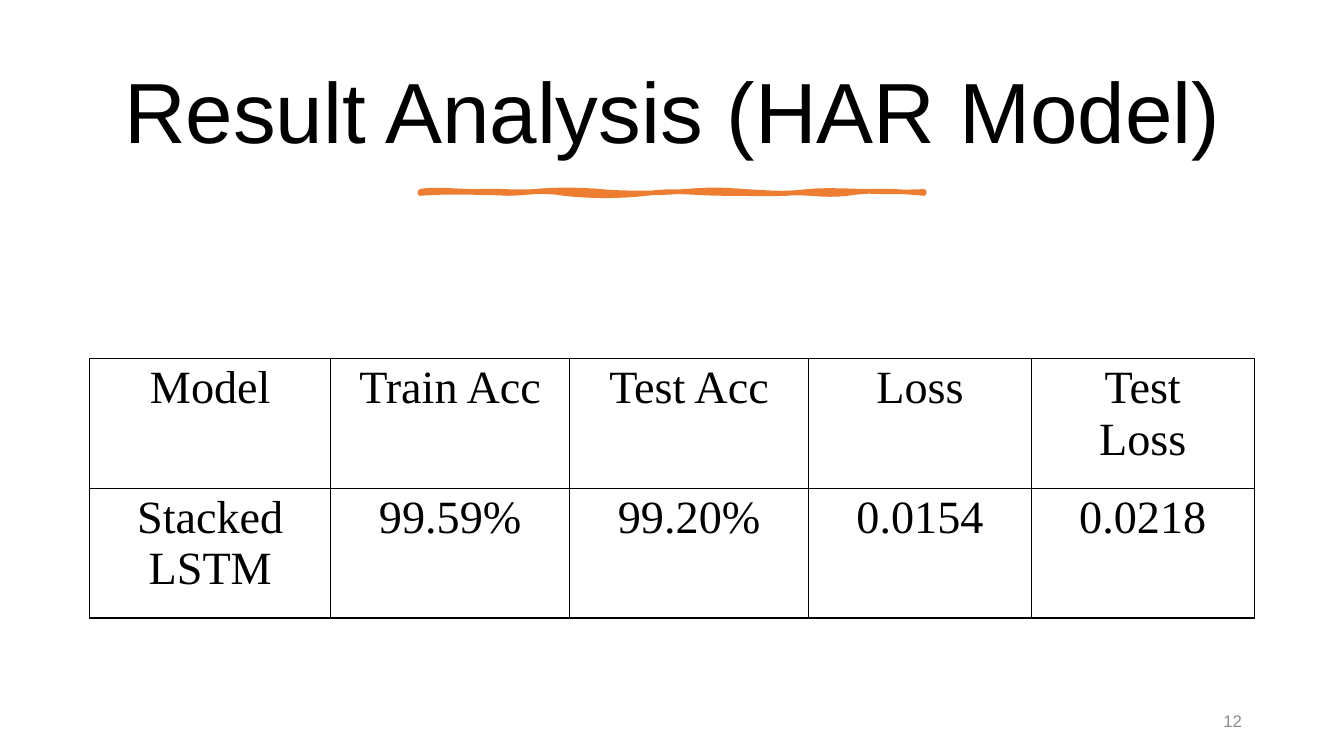
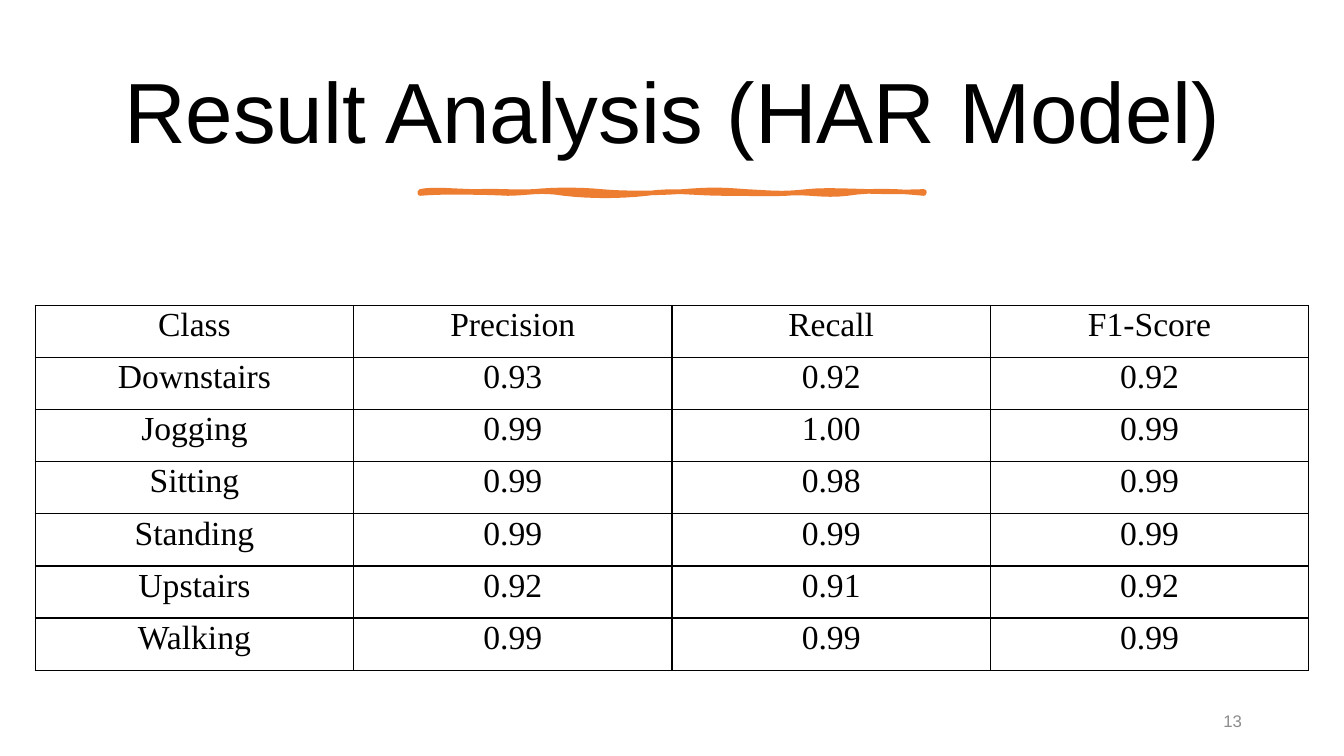
"""Build two slides with the result tables of the HAR model."""
from dataclasses import dataclass
from itertools import product

from lxml.etree import SubElement as Sub
from pptx import Presentation as Deck
from pptx.dml.color import RGBColor as Color
from pptx.enum.text import MSO_ANCHOR as Anchor, PP_ALIGN as Align
from pptx.oxml.ns import qn
from pptx.slide import Slide
from pptx.text.text import _Paragraph as Para
from pptx.util import Inches, Length, Pt

WIDE, HIGH = Inches(13.33), Inches(7.5)
BLACK = Color(0x00, 0x00, 0x00)
ORANGE = Color(0xED, 0x7D, 0x31)
GREY = Color(0x8C, 0x8C, 0x8C)
SANS, SERIF = "Arial", "Times New Roman"
TITLE = "Result Analysis (HAR Model)"
STEPS = 8

WAVE = [
    [(0, 0), (2.4, -1.5), (7.6, 0), (11.4, 0)],
    [(15.2, -0.5), (18.6, 0.5), (22.6, 0)],
    [(26.6, -1), (31.6, -1), (36, 0)],
    [(40.2, 1), (47.4, 1), (52.2, 0)],
    [(57.2, -1), (59.6, -1), (64.6, 0)],
    [(69.4, 0.5), (71.6, 1.5), (76.8, 0)],
    [(82, -1.5), (90.2, 1), (100, 0)],
    [(100.2, 0.5), (100, 0.5), (100, 1)],
    [(95.8, 0), (89.8, -1), (84.8, 1)],
    [(79.8, 2.5), (77, 0), (72.6, 1)],
    [(68, 1.5), (66.2, 1), (60.2, 1)],
    [(54.2, 1), (50.2, -1), (45, 1)],
    [(39.6, 2.5), (33.8, 2.5), (28.6, 1)],
    [(23.6, -1), (21.4, 1), (17.4, 1)],
    [(13.4, 0.5), (4.4, 0), (0, 1)],
]


@dataclass(frozen=True)
class Box:
    """A place in percent of the slide's width and height."""
    left: float
    top: float
    width: float
    height: float

    def frame(self) -> tuple[Length, Length, Length, Length]:
        """Give the place as lengths."""
        return across(self.left), down(self.top), across(self.width), down(self.height)


@dataclass(frozen=True)
class Style:
    """The look of a paragraph."""
    font: str
    size: float
    color: Color
    align: Align = Align.CENTER
    space: float = 1.0
    after: float = 0


@dataclass(frozen=True)
class Grid:
    """A table with its column weights and cell margins in percent."""
    box: Box
    weights: list[float]
    side: float
    head: float
    style: Style
    rows: list[list[str]]


@dataclass(frozen=True)
class Page:
    """A slide's number and table."""
    number: str
    grid: Grid


def across(share: float) -> Length:
    """Turn a percentage of the slide's width into a length."""
    return Length(round(WIDE * share / 100))


def down(share: float) -> Length:
    """Turn a percentage of the slide's height into a length."""
    return Length(round(HIGH * share / 100))


def middle(top: float, width: float, height: float) -> Box:
    """Centre a box across the slide."""
    return Box((100 - width) / 2, top, width, height)


HEAD = middle(6.13, 89.5, 18.27)
STROKE = middle(25.33, 37.5, 0.27)
FOOT = Box(70.65, 92.67, 22.5, 5.33)
BIG = Style(SANS, 61, BLACK, space=0.9)
SMALL = Style(SANS, 12, GREY, Align.RIGHT, after=6)

PAGES = [
    Page("12", Grid(
        middle(47.47, 86.64, 34.27), [2.39, 2.37, 2.37, 2.21, 2.21], 2.1, 0.53,
        Style(SERIF, 33, BLACK), [
            ["Model", "Train Acc", "Test Acc", "Loss", "Test Loss"],
            ["Stacked LSTM", "99.59%", "99.20%", "0.0154", "0.0218"],
        ])),
    Page("13", Grid(
        middle(40.4, 94.75, 48.27), [1] * 4, 1.5, 0.4,
        Style(SERIF, 24, BLACK, space=0.95), [
            ["Class", "Precision", "Recall", "F1-Score"],
            ["Downstairs", "0.93", "0.92", "0.92"],
            ["Jogging", "0.99", "1.00", "0.99"],
            ["Sitting", "0.99", "0.98", "0.99"],
            ["Standing", "0.99", "0.99", "0.99"],
            ["Upstairs", "0.92", "0.91", "0.92"],
            ["Walking", "0.99", "0.99", "0.99"],
        ])),
]


def write(para: Para, text: str, style: Style) -> None:
    """Fill a paragraph with styled text."""
    para.text = text
    para.alignment = style.align
    para.line_spacing = style.space
    para.space_after = Pt(style.after)
    para.font.name = style.font
    para.font.size = Pt(style.size)
    para.font.color.rgb = style.color


def label(slide: Slide, box: Box, text: str, style: Style) -> None:
    """Add a text box with its text in the middle."""
    frame = slide.shapes.add_textbox(*box.frame()).text_frame
    frame.word_wrap = True
    frame.vertical_anchor = Anchor.MIDDLE
    write(frame.paragraphs[0], text, style)


def trace() -> list[tuple[Length, Length]]:
    """Sample the curves of the wavy stroke."""
    (start, *first), *rest = WAVE
    points = [start]
    for bend in [first, *rest]:
        knots = [points[-1], *bend]
        for step in range(1, STEPS + 1):
            t = step / STEPS
            mix = ((1 - t) ** 3, 3 * t * (1 - t) ** 2, 3 * t * t * (1 - t), t ** 3)
            points.append(tuple(sum(m * k[axis] for m, k in zip(mix, knots))
                                for axis in (0, 1)))
    return [(across(STROKE.left + STROKE.width * x / 100),
             down(STROKE.top + STROKE.height * y)) for x, y in points]


def stroke(slide: Slide) -> None:
    """Draw the wavy stroke under the title."""
    start, *rest = trace()
    pen = slide.shapes.build_freeform(*start)
    pen.add_line_segments(rest, close=True)
    shape = pen.convert_to_shape()
    shape.shadow.inherit = False
    shape.fill.solid()
    shape.fill.fore_color.rgb = ORANGE
    shape.line.color.rgb = ORANGE
    shape.line.width = Pt(3.25)


def border(cell) -> None:
    """Draw thin black lines round a cell."""
    props = cell._tc.get_or_add_tcPr()
    for index, side in enumerate(("lnL", "lnR", "lnT", "lnB")):
        line = props.makeelement(qn(f"a:{side}"), {"w": str(Pt(1))})
        props.insert(index, line)
        Sub(Sub(line, qn("a:solidFill")), qn("a:srgbClr"), val=str(BLACK))


def table(slide: Slide, grid: Grid) -> None:
    """Add a ruled table."""
    rows, cols = len(grid.rows), len(grid.weights)
    body = slide.shapes.add_table(rows, cols, *grid.box.frame()).table
    body.first_row = body.horz_banding = False
    for col, weight in zip(body.columns, grid.weights):
        col.width = across(grid.box.width * weight / sum(grid.weights))
    for row in body.rows:
        row.height = down(grid.box.height / rows)
    for r, c in product(range(rows), range(cols)):
        cell = body.cell(r, c)
        cell.margin_left = cell.margin_right = across(grid.side)
        cell.margin_top, cell.margin_bottom = down(grid.head), 0
        cell.fill.background()
        border(cell)
        write(cell.text_frame.paragraphs[0], grid.rows[r][c], grid.style)


def main() -> None:
    """Build and save the deck."""
    deck = Deck()
    deck.slide_width, deck.slide_height = WIDE, HIGH
    for page in PAGES:
        slide = deck.slides.add_slide(deck.slide_layouts[6])
        label(slide, HEAD, TITLE, BIG)
        stroke(slide)
        label(slide, FOOT, page.number, SMALL)
        table(slide, page.grid)
    deck.save("out.pptx")


if __name__ == "__main__":
    main()
